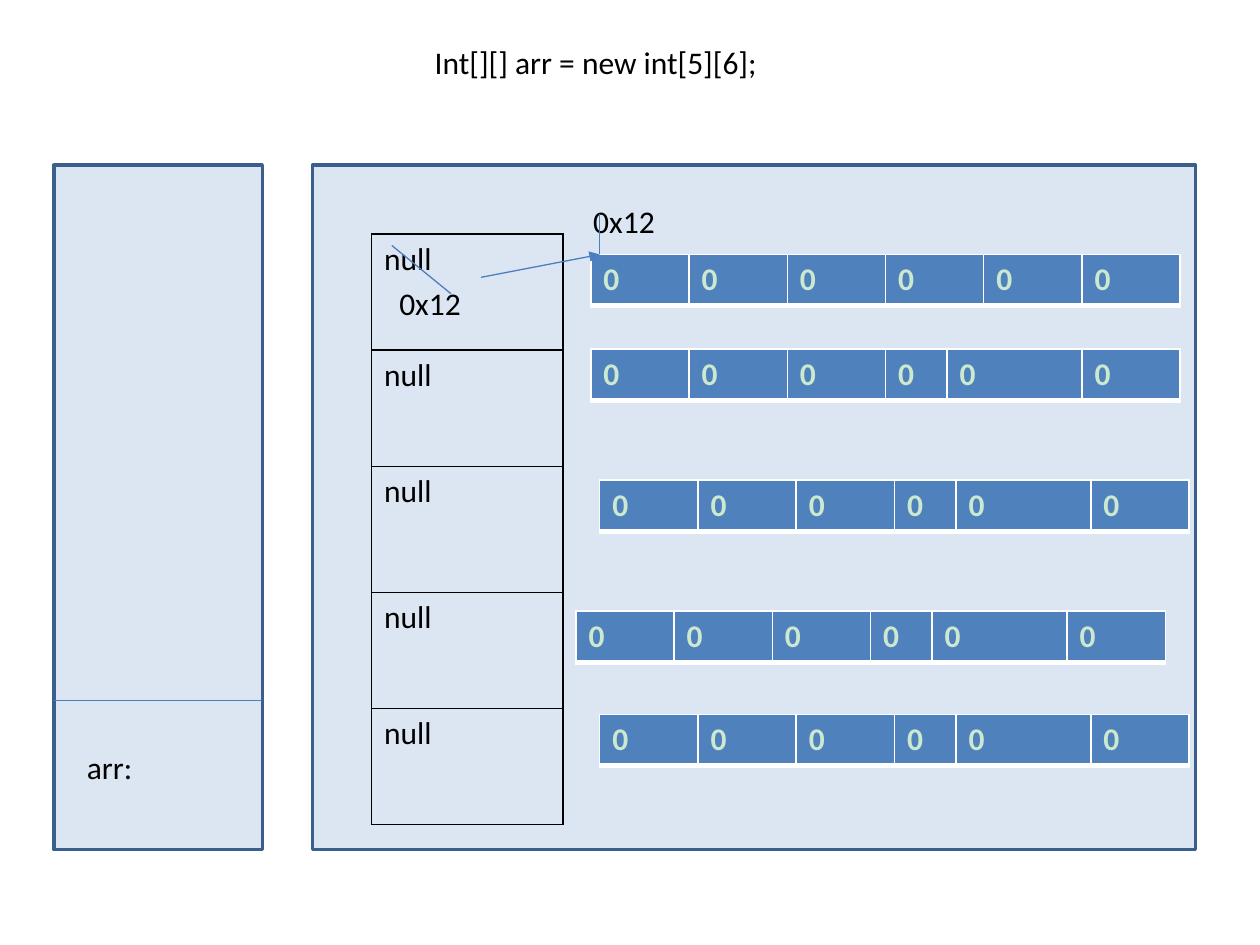
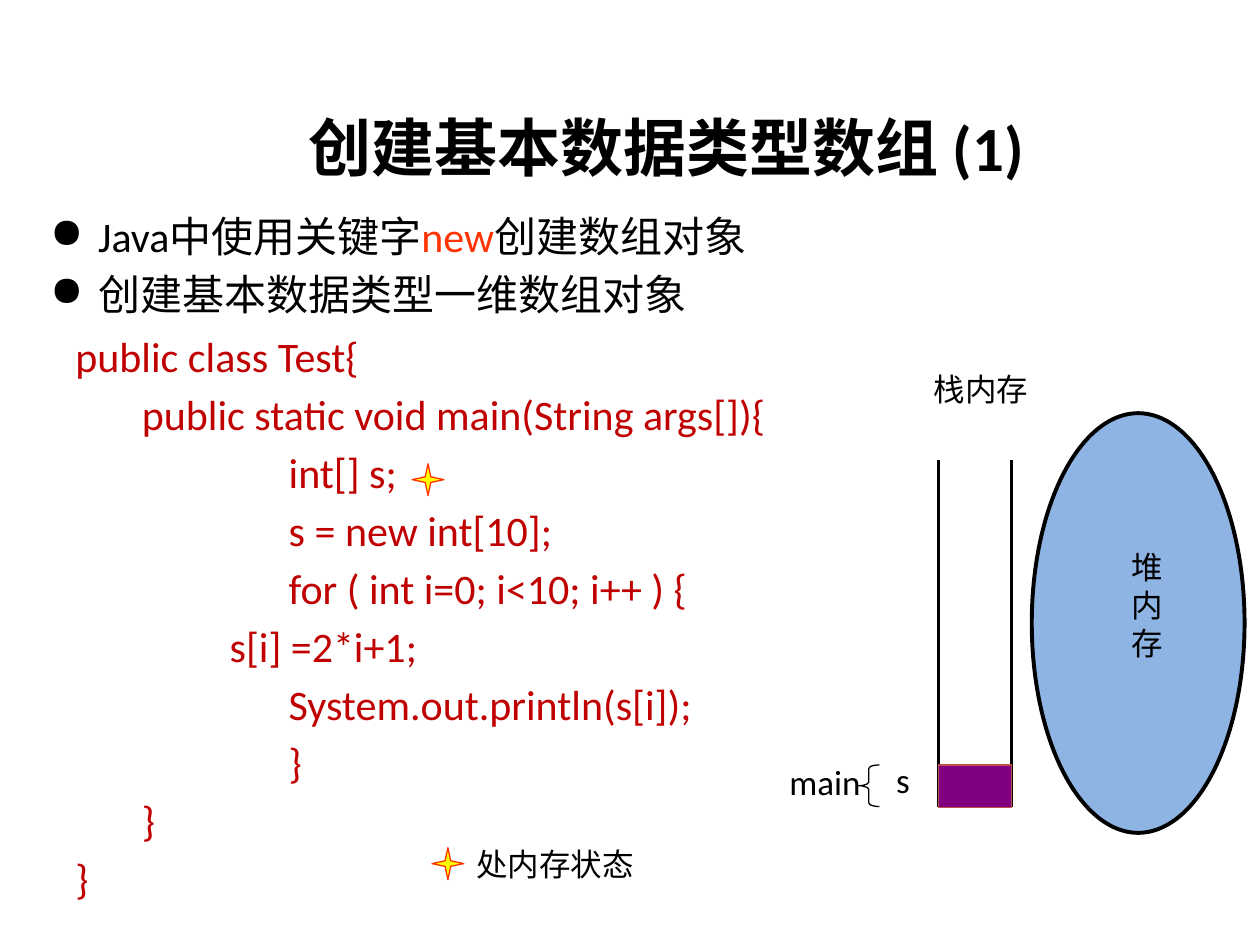
from lxml import etree
from pptx import Presentation
from pptx.dml.color import RGBColor
from pptx.enum.shapes import MSO_CONNECTOR, MSO_SHAPE
from pptx.enum.text import MSO_ANCHOR, PP_ALIGN
from pptx.oxml.ns import qn
from pptx.util import Cm, Pt

FONT = "Calibri"
BLACK = RGBColor(0x00, 0x00, 0x00)
WHITE = RGBColor(0xFF, 0xFF, 0xFF)
PALE = RGBColor(0xDC, 0xE6, 0xF2)
NAVY = RGBColor(0x3A, 0x5F, 0x8C)
BLUE = RGBColor(0x4F, 0x81, 0xBD)
STEEL = RGBColor(0x4B, 0x7E, 0xBC)
SKY = RGBColor(0x8E, 0xB4, 0xE3)
MINT = RGBColor(0xCC, 0xE8, 0xCF)
RED = RGBColor(0xC0, 0x00, 0x00)
ORANGE = RGBColor(0xFF, 0x33, 0x00)
YELLOW = RGBColor(0xFF, 0xFF, 0x00)
PURPLE = RGBColor(0x80, 0x00, 0x80)
BRICK = RGBColor(0xC0, 0x50, 0x4D)

LEFT, CENTER, RIGHT = PP_ALIGN.LEFT, PP_ALIGN.CENTER, PP_ALIGN.RIGHT
MIDDLE = MSO_ANCHOR.MIDDLE
STRAIGHT = MSO_CONNECTOR.STRAIGHT
RECT, OVAL = MSO_SHAPE.RECTANGLE, MSO_SHAPE.OVAL
STAR, BRACE = MSO_SHAPE.STAR_4_POINT, MSO_SHAPE.LEFT_BRACE


# Shared parts: all lengths come in as centimetres
def cms(*nums):
    return [Cm(n) for n in nums]


def style(para, size=18, color=BLACK, bold=False, align=LEFT):
    para.alignment = align
    font = para.font
    font.name, font.size, font.bold = FONT, Pt(size), bold
    font.color.rgb = color


def add_title(deck, words, box, **look):
    slide = deck.slides.add_slide(deck.slide_layouts[5])
    title = slide.shapes.title
    title.left, title.top, title.width, title.height = cms(*box)
    title.text_frame.text = words
    title.text_frame.vertical_anchor = MIDDLE
    style(title.text_frame.paragraphs[0], **look)
    return slide


def add_frame(slide, x, y, w, h):
    frame = slide.shapes.add_textbox(*cms(x, y, w, h)).text_frame
    frame.word_wrap = True
    return frame


def add_text(slide, words, x, y, w, h, pad=0.13, **look):
    frame = add_frame(slide, x, y, w, h)
    frame.margin_top = frame.margin_bottom = Cm(pad)
    frame.text = words
    style(frame.paragraphs[0], **look)


def add_shape(slide, kind, x, y, w, h, fill, color, width):
    shape = slide.shapes.add_shape(kind, *cms(x, y, w, h))
    shape.shadow.inherit = False
    if fill is None:
        shape.fill.background()
    else:
        shape.fill.solid()
        shape.fill.fore_color.rgb = fill
    shape.line.color.rgb = color
    shape.line.width = Pt(width)
    return shape


def add_line(slide, x1, y1, x2, y2, color=STEEL, width=0.75, arrow=False):
    line = slide.shapes.add_connector(STRAIGHT, *cms(x1, y1, x2, y2))
    line.line.color.rgb = color
    line.line.width = Pt(width)
    props = line._element.spPr
    if arrow:
        etree.SubElement(props.find(qn("a:ln")), qn("a:tailEnd"), type="triangle")
    etree.SubElement(props, qn("a:effectLst"))


def add_star(slide, x, y):
    add_shape(slide, STAR, x, y, 0.64, 0.64, YELLOW, ORANGE, 0.75)


def add_grid(slide, x, y, cols, rows, word, fill, edge, base, **look):
    """Table with one word in every cell; base is the bottom border width."""
    holder = slide.shapes.add_table(
        len(rows), len(cols), *cms(x, y, sum(cols), sum(rows)))
    table = holder.table
    table.first_row = table.horz_banding = False
    for col, width in zip(table.columns, cols):
        col.width = Cm(width)
    for row, height in zip(table.rows, rows):
        row.height = Cm(height)
    for cell in table.iter_cells():
        cell.text = word
        style(cell.text_frame.paragraphs[0], **look)
        props = cell._tc.get_or_add_tcPr()
        for side, width in zip("LRTB", (1, 1, 1, base)):
            border = etree.SubElement(
                props, qn(f"a:ln{side}"), w=str(Pt(width)))
            solid = etree.SubElement(border, qn("a:solidFill"))
            etree.SubElement(solid, qn("a:srgbClr"), val=str(edge))
        if fill is None:
            cell.fill.background()
        else:
            cell.fill.solid()
            cell.fill.fore_color.rgb = fill


# Slide 1: two-dimensional array in memory
def draw_stack(slide, x, y, w, h):
    add_shape(slide, RECT, x, y, w, h, PALE, NAVY, 2)
    add_line(slide, x, y + 10.79, x + w, y + 10.79)
    add_text(slide, "arr:", x + 0.41, y + 11.61, 4.8, 1.03)


def draw_heap(slide, x, y, w, h):
    add_shape(slide, RECT, x, y, w, h, PALE, NAVY, 2)

    # Outer array of references
    add_grid(slide, x + 1.19, y + 1.39, [3.86], [2.34, 2.34, 2.54, 2.34, 2.34],
             "null", None, BLACK, 1)

    # Inner arrays of zeros
    even = [1.98] * 6
    mixed = [1.98] * 3 + [1.24, 2.72, 1.98]
    spots = [(5.61, 1.8, even), (5.61, 3.71, mixed), (5.79, 6.35, mixed),
             (5.31, 8.99, mixed), (5.79, 11.07, mixed)]
    for dx, dy, cols in spots:
        add_grid(slide, x + dx, y + dy, cols, [1.03], "0", BLUE, WHITE, 3,
                 color=MINT, bold=True)

    # Address of the first inner array replaces null
    for dx, dy in [(5.41, 0.61), (1.5, 2.26)]:
        add_text(slide, "0x12", x + dx, y + dy, 3.81, 1.03)
    add_line(slide, x + 5.79, y + 1.8, x + 5.79, y + 0.99)
    add_line(slide, x + 1.6, y + 1.62, x + 2.79, y + 2.59)
    add_line(slide, x + 3.4, y + 2.26, x + 5.79, y + 1.8, arrow=True)


def array_slide(deck):
    slide = add_title(deck, "Int[][] arr = new int[5][6];",
                      (8.51, 0.74, 14, 1.03))
    draw_stack(slide, 1.09, 3.33, 4.2, 13.8)
    draw_heap(slide, 6.3, 3.33, 17.8, 13.8)


# Slide 2: creating an array of a basic type
POINTS = [
    [("Java中使用关键字", BLACK), ("new", ORANGE), ("创建数组对象", BLACK)],
    [("创建基本数据类型一维数组对象", BLACK)],
]
CODE = [
    (0.76, "public class Test{"),
    (2.1, "public static void main(String args[]){"),
    (5.06, "int[] s;"),
    (5.06, "s = new int[10];"),
    (5.06, "for ( int i=0; i<10; i++ ) {"),
    (3.87, "s[i] =2*i+1;"),
    (5.06, "System.out.println(s[i]);"),
    (5.06, "}"),
    (2.1, "}"),
    (0.76, "}"),
]


def next_para(frame, index):
    para = frame.add_paragraph() if index else frame.paragraphs[0]
    para.space_before = Pt(4.4)
    return para


def draw_points(slide, x, y, w, h):
    frame = add_frame(slide, x, y, w, h)
    for index, runs in enumerate(POINTS):
        para = next_para(frame, index)
        style(para, 24)
        for words, color in runs:
            run = para.add_run()
            run.text = words
            run.font.color.rgb = color
        props = para._p.get_or_add_pPr()
        props.set("marL", str(Cm(0.97)))
        props.set("indent", str(-Cm(0.97)))
        bullet = etree.Element(qn("a:buChar"), char="●")
        props.find(qn("a:defRPr")).addprevious(bullet)


def draw_code(slide, x, y, w, h):
    frame = add_frame(slide, x, y, w, h)
    for index, (indent, words) in enumerate(CODE):
        para = next_para(frame, index)
        para.text = words
        style(para, 24, RED)
        para._p.get_or_add_pPr().set("marL", str(Cm(indent)))
    add_star(slide, x + 7.8, y + 2.82)


def draw_note(slide, x, y, w, h):
    add_text(slide, "处内存状态", x, y, w, h, pad=0, align=RIGHT)
    add_star(slide, x + 1.19, y + 0.05)


def draw_memory(slide, x, y, w, h):
    # Stack: two walls with the slot of s at the bottom
    wall, slot = x + 3.86, 1.47
    add_text(slide, "栈内存", x + 2.54, y, 3.38, 1.02, align=RIGHT)
    for side in (wall, wall + slot):
        add_line(slide, side, y + 1.95, side, y + 8.94, BLACK, 1.5)
    add_shape(slide, RECT, wall, y + 8.1, slot, 0.86, PURPLE, BRICK, 0.75)

    # Frame of main
    add_text(slide, "main", x, y + 7.89, 2.54, 1.09, size=20, align=RIGHT)
    brace = add_shape(slide, BRACE, x + 2.24, y + 8.1, 0.43, 0.84,
                      None, BLACK, 0.75)
    brace.adjustments[0] = 0.17
    add_text(slide, "s", x + 2.26, y + 7.97, 1.27, 0.84, pad=0,
             size=20, align=RIGHT)

    # Heap
    add_shape(slide, OVAL, x + w - 4.29, y + 1.01, 4.29, h - 1.01,
              SKY, BLACK, 2.25)
    add_text(slide, "堆内存", x + 7.5, y + 3.6, 1.07, 2.57, align=RIGHT)


def create_slide(deck):
    slide = add_title(deck, "创建基本数据类型数组 (1)",
                      (4.9, 1.78, 17.07, 2.34),
                      size=36, bold=True, align=CENTER)
    draw_code(slide, 0.51, 6.53, 18.64, 12.37)
    draw_points(slide, 0.76, 4.11, 19, 2.51)
    draw_memory(slide, 15.06, 7.32, 10.03, 9.47)
    draw_note(slide, 7.52, 17.04, 5.51, 0.76)


def main():
    deck = Presentation()
    deck.slide_width, deck.slide_height = cms(25.4, 19.05)
    array_slide(deck)
    create_slide(deck)
    deck.save("out.pptx")


if __name__ == "__main__":
    main()
